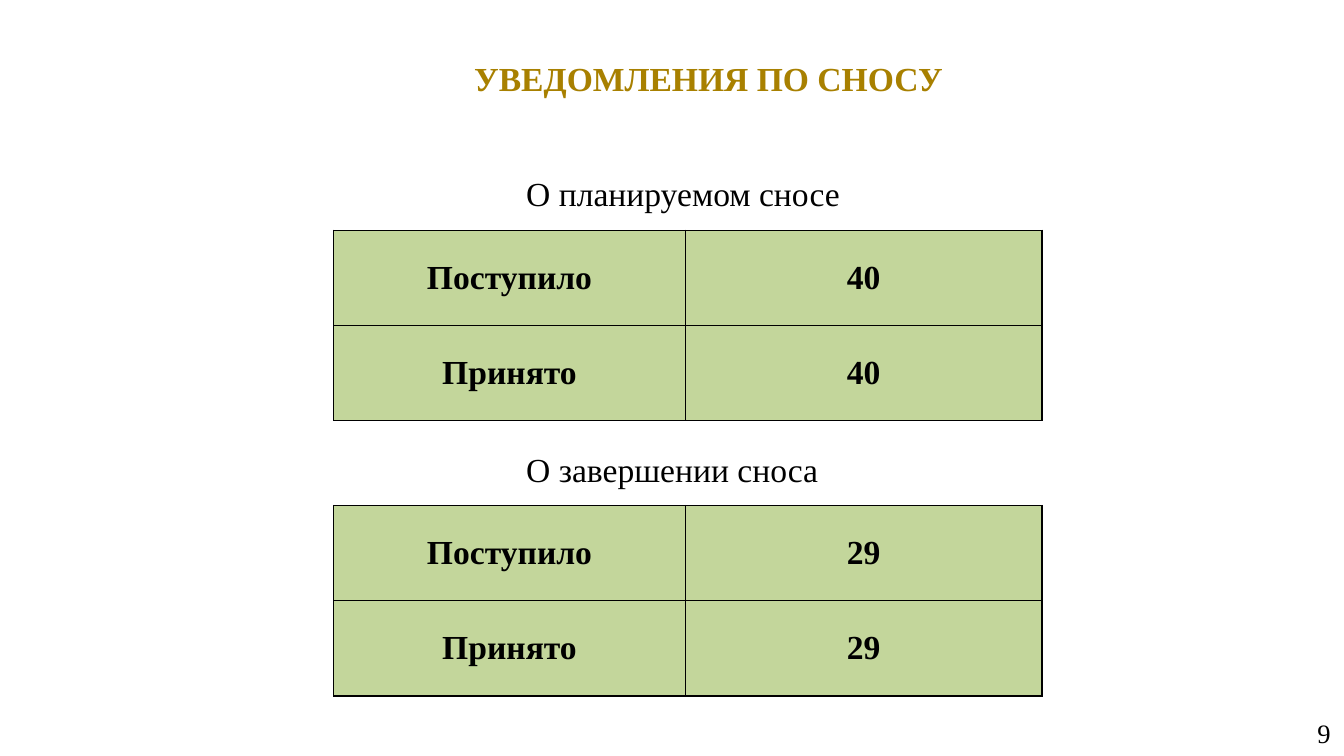
from lxml.etree import SubElement
from pptx import Presentation
from pptx.dml.color import RGBColor
from pptx.enum.text import MSO_ANCHOR, PP_ALIGN
from pptx.oxml.ns import qn
from pptx.util import Cm, Pt


def rgb(value):
    return RGBColor.from_string(value)


class Deck:
    font = "Times New Roman"
    black, gold, green = "000000", "A88000", "C3D69B"
    margin_x, margin_y, cell_margin_y = 0.33, 0.17, 0.12

    def __init__(self, prs):
        self.s = prs.slides.add_slide(prs.slide_layouts[6])

    def add_run(self, tf, text, align, size=24, color=black, bold=False):
        p = tf.paragraphs[0]
        p.alignment = align
        r = p.add_run()
        r.text = text
        for name, value in {"name": self.font, "size": Pt(size), "bold": bold}.items():
            setattr(r.font, name, value)
        r.font.color.rgb = rgb(color)

    def text(self, text, box, align=PP_ALIGN.LEFT, anchor=MSO_ANCHOR.TOP, **style):
        sp = self.s.shapes.add_textbox(*map(Cm, box))
        tf = sp.text_frame
        frame = {
            "word_wrap": True, "vertical_anchor": anchor,
            "margin_left": Cm(self.margin_x), "margin_right": Cm(self.margin_x),
            "margin_top": Cm(self.margin_y), "margin_bottom": Cm(self.margin_y),
        }
        for name, value in frame.items():
            setattr(tf, name, value)
        self.add_run(tf, text, align, **style)

    def borders(self, cell):
        tcPr = cell._tc.get_or_add_tcPr()
        for i, side in enumerate(("a:lnL", "a:lnR", "a:lnT", "a:lnB")):
            ln = SubElement(tcPr, qn(side), w=str(Pt(0.96)))
            fill = SubElement(ln, qn("a:solidFill"))
            SubElement(fill, qn("a:srgbClr"), val=self.black)
            tcPr.insert(i, ln)  # borders come before the fill

    def table(self, rows, left, top, widths, row_height):
        box = (left, top, sum(widths), row_height * len(rows))
        table = self.s.shapes.add_table(len(rows), len(widths), *map(Cm, box)).table
        table.first_row = table.horz_banding = False
        for column, width in zip(table.columns, widths):
            column.width = Cm(width)
        cell_format = {
            "vertical_anchor": MSO_ANCHOR.MIDDLE,
            "margin_left": Cm(self.margin_x), "margin_right": Cm(self.margin_x),
            "margin_top": Cm(self.cell_margin_y), "margin_bottom": Cm(self.cell_margin_y),
        }
        for i, row in enumerate(rows):
            table.rows[i].height = Cm(row_height)
            for j, value in enumerate(row):
                cell = table.cell(i, j)
                for name, setting in cell_format.items():
                    setattr(cell, name, setting)
                cell.fill.solid()
                cell.fill.fore_color.rgb = rgb(self.green)
                self.borders(cell)
                self.add_run(cell.text_frame, value, PP_ALIGN.CENTER, bold=True)


def main():
    prs = Presentation()
    prs.slide_width, prs.slide_height = Cm(33.87), Cm(19.05)
    deck = Deck(prs)

    # Title and page number
    deck.text("УВЕДОМЛЕНИЯ ПО СНОСУ", (3.33, 0.71, 29.06, 2.54), PP_ALIGN.CENTER,
              MSO_ANCHOR.MIDDLE, color=deck.gold, bold=True)
    deck.text("9", (25.96, 17.96, 7.9, 1.02), PP_ALIGN.RIGHT, MSO_ANCHOR.MIDDLE, size=19)

    # Notification sections: heading above its table
    sections = [
        ("О планируемом сносе", "40", "40"),
        ("О завершении сноса", "29", "29"),
    ]
    for i, (heading, received, accepted) in enumerate(sections):
        top = 5.8 + i * 6.94
        deck.text(heading, (12.93, top - 1.6, 8.79, 1.35))
        deck.table([("Поступило", received), ("Принято", accepted)],
                   8.41, top, (8.86, 8.99), 2.4)

    prs.save("out.pptx")


if __name__ == "__main__":
    main()
